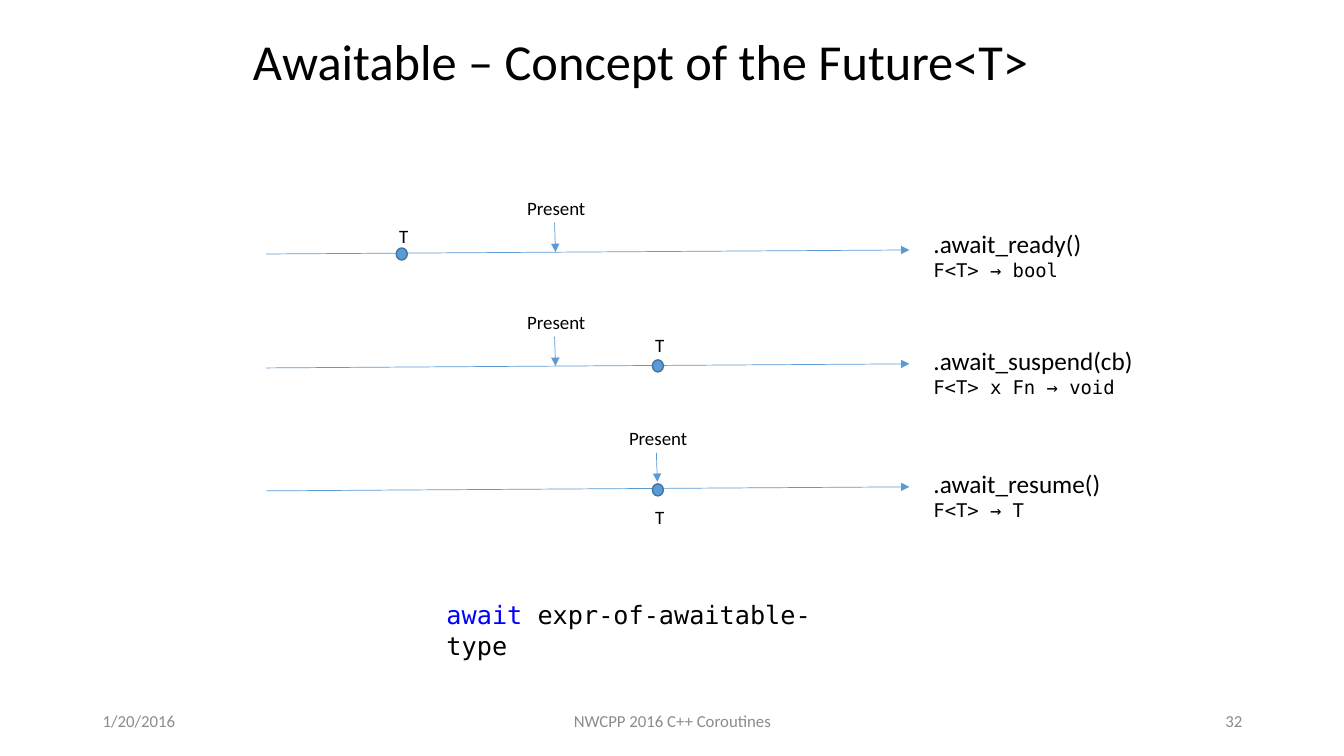
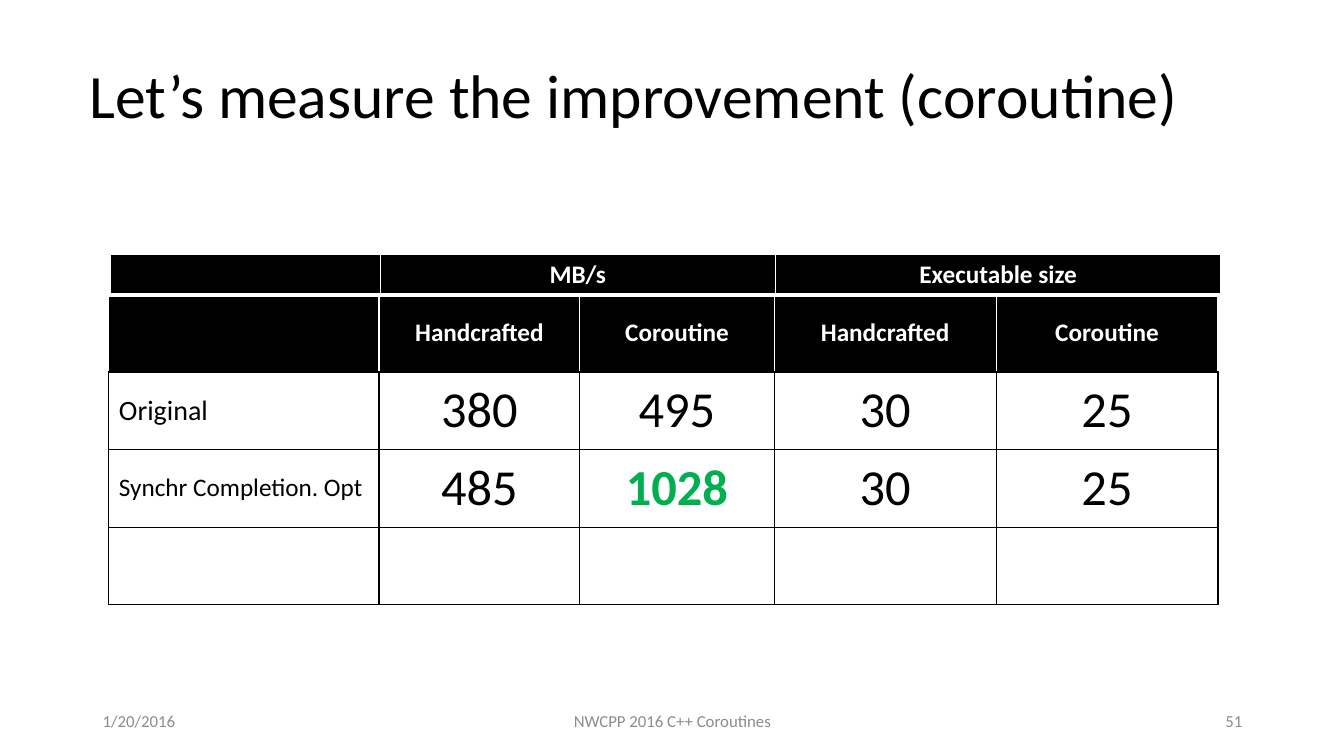
from lxml.etree import SubElement
from pptx import Presentation
from pptx.dml.color import RGBColor as RGB
from pptx.enum.shapes import MSO_CONNECTOR, MSO_SHAPE
from pptx.enum.text import MSO_ANCHOR as ANCHOR, PP_ALIGN as ALIGN
from pptx.oxml.ns import qn
from pptx.util import Inches, Pt


class Theme:
    sans, mono = "Calibri", "DejaVu Sans Mono"
    black, white = RGB(0, 0, 0), RGB(255, 255, 255)
    gray = RGB(0x8C, 0x8C, 0x8C)
    blue, dark_blue = RGB(0x5B, 0x9B, 0xD5), RGB(0x43, 0x73, 0x9E)
    keyword, best = RGB(0, 0, 255), RGB(0, 0xB0, 0x50)
    footer, label, body, row_name, figure = 12, 13.5, 18, 20, 36


def add_text(s, box, text, size, font=Theme.sans, color=Theme.black,
             align=ALIGN.LEFT, anchor=ANCHOR.TOP, wrap=True):
    tf = s.shapes.add_textbox(*map(Inches, box)).text_frame
    tf.word_wrap, tf.vertical_anchor = wrap, anchor
    p = tf.paragraphs[0]
    p.text, p.alignment = text, align
    p.font.name, p.font.size, p.font.color.rgb = font, Pt(size), color
    return tf


def add_slide(title, box, size, number):
    s = prs.slides.add_slide(prs.slide_layouts[6])
    tf = add_text(s, box, title, size, anchor=ANCHOR.MIDDLE)
    tf.paragraphs[0].line_spacing = 0.9
    for left, width, text, align in (
            (0.92, 3, "1/20/2016", ALIGN.LEFT),
            (4.42, 4.5, "NWCPP 2016 C++ Coroutines", ALIGN.CENTER),
            (9.42, 3, number, ALIGN.RIGHT)):
        add_text(s, (left, 6.95, width, 0.4), text, Theme.footer,
                 color=Theme.gray, align=align, anchor=ANCHOR.MIDDLE)
    return s


prs = Presentation()
prs.slide_width, prs.slide_height = Inches(13.33), Inches(7.5)

# Slide 1: three timelines, each with its member function
s = add_slide("Awaitable – Concept of the Future<T>",
              (2.41, 0.27, 8.62, 0.74), 36, "32")
timelines = [
    # axis y, present x, present y, dot x, dot y, T y, text y, text width, name, signature
    (2.52, 5.5, 2.21, 3.93, 2.46, 2.18, 2.22, 1.68, ".await_ready()", "F<T> → bool"),
    (3.65, 5.5, 3.34, 6.47, 3.57, 3.26, 3.38, 2.2, ".await_suspend(cb)", "F<T> x Fn → void"),
    (4.87, 6.51, 4.49, 6.47, 4.8, 4.97, 4.6, 1.88, ".await_resume()", "F<T> → T"),
]
for axis_y, now_x, now_y, dot_x, dot_y, t_y, text_y, text_w, name, signature in timelines:
    # Time axis and the arrow marking the present
    for ends in ((2.64, axis_y, 9.02, axis_y - 0.04),
                 (now_x, now_y, now_x + 0.01, now_y + 0.29)):
        arrow = s.shapes.add_connector(MSO_CONNECTOR.STRAIGHT, *map(Inches, ends))
        arrow.line.color.rgb, arrow.line.width = Theme.blue, Pt(0.5)
        SubElement(arrow.line._get_or_add_ln(), qn("a:tailEnd"), type="triangle")
        SubElement(arrow._element.spPr, qn("a:effectLst"))

    # Moment the value arrives
    dot = s.shapes.add_shape(MSO_SHAPE.OVAL, Inches(dot_x), Inches(dot_y),
                             Inches(0.11), Inches(0.12))
    dot.shadow.inherit = False
    dot.fill.solid()
    dot.fill.fore_color.rgb = Theme.blue
    dot.line.color.rgb, dot.line.width = Theme.dark_blue, Pt(1)

    # Labels
    add_text(s, (now_x - 0.37, now_y - 0.31, 0.79, 0.33), "Present", Theme.label, wrap=False)
    add_text(s, (dot_x - 0.07, t_y, 0.29, 0.33), "T", Theme.label, wrap=False)
    tf = add_text(s, (9.16, text_y, text_w, 0.63), name, Theme.body, wrap=False)
    p = tf.add_paragraph()
    p.text = signature
    p.font.name, p.font.size, p.font.color.rgb = Theme.mono, Pt(Theme.label), Theme.black

# Await expression
tf = add_text(s, (4.33, 5.9, 4.08, 0.7), "await", Theme.body, Theme.mono)
p = tf.paragraphs[0]
p.runs[0].font.color.rgb = Theme.keyword
p.add_run().text = " expr-of-awaitable-type"

# Slide 2: measurements under a band of column groups
s = add_slide("Let’s measure the improvement (coroutine)",
              (0.79, 0.25, 11.75, 1.45), 44, "51")
measurements = [
    ["", "Handcrafted", "Coroutine", "Handcrafted", "Coroutine"],
    ["Original", "380", "495", "30", "25"],
    ["Synchr Completion. Opt", "485", "1028", "30", "25"],
    [""] * 5,
]
groups = [["", "MB/s", "Executable size"]]
black_line, white_line, thick_line = ("000000", 1), ("FFFFFF", 1), ("FFFFFF", 3)

for left, top, row_h, widths, rows, header_bottom in (
        (1.08, 2.92, 0.77, (2.68, 1.99, 1.93, 2.2, 2.2), measurements, black_line),
        (1.09, 2.52, 0.41, (2.68, 3.92, 4.42), groups, thick_line)):
    table = s.shapes.add_table(len(rows), len(widths), Inches(left), Inches(top),
                               Inches(sum(widths)), Inches(row_h * len(rows))).table
    table.first_row = table.horz_banding = False
    for column, width in zip(table.columns, widths):
        column.width = Inches(width)
    for i, row in enumerate(rows):
        header = i == 0
        edge = white_line if header else black_line
        bottom = header_bottom if header else black_line
        for j, text in enumerate(row):
            cell = table.cell(i, j)
            # Borders come before the fill in the cell properties
            tcPr = cell._tc.get_or_add_tcPr()
            for side, (color, points) in zip("LRTB", (edge, edge, edge, bottom)):
                ln = SubElement(tcPr, qn(f"a:ln{side}"), w=str(Pt(points)))
                SubElement(SubElement(ln, qn("a:solidFill")), qn("a:srgbClr"), val=color)
            cell.fill.solid()
            cell.fill.fore_color.rgb = Theme.black if header else Theme.white
            cell.vertical_anchor = ANCHOR.MIDDLE
            if not text:
                continue

            best = text == "1028"
            if header:
                size, color = Theme.body, Theme.white
            elif j == 0:
                size, color = (Theme.row_name if i == 1 else Theme.body), Theme.black
            else:
                size, color = Theme.figure, Theme.best if best else Theme.black
            p = cell.text_frame.paragraphs[0]
            p.text = text
            p.alignment = ALIGN.LEFT if j == 0 else ALIGN.CENTER
            p.font.name, p.font.size, p.font.color.rgb = Theme.sans, Pt(size), color
            p.font.bold = header or best

prs.save("out.pptx")
